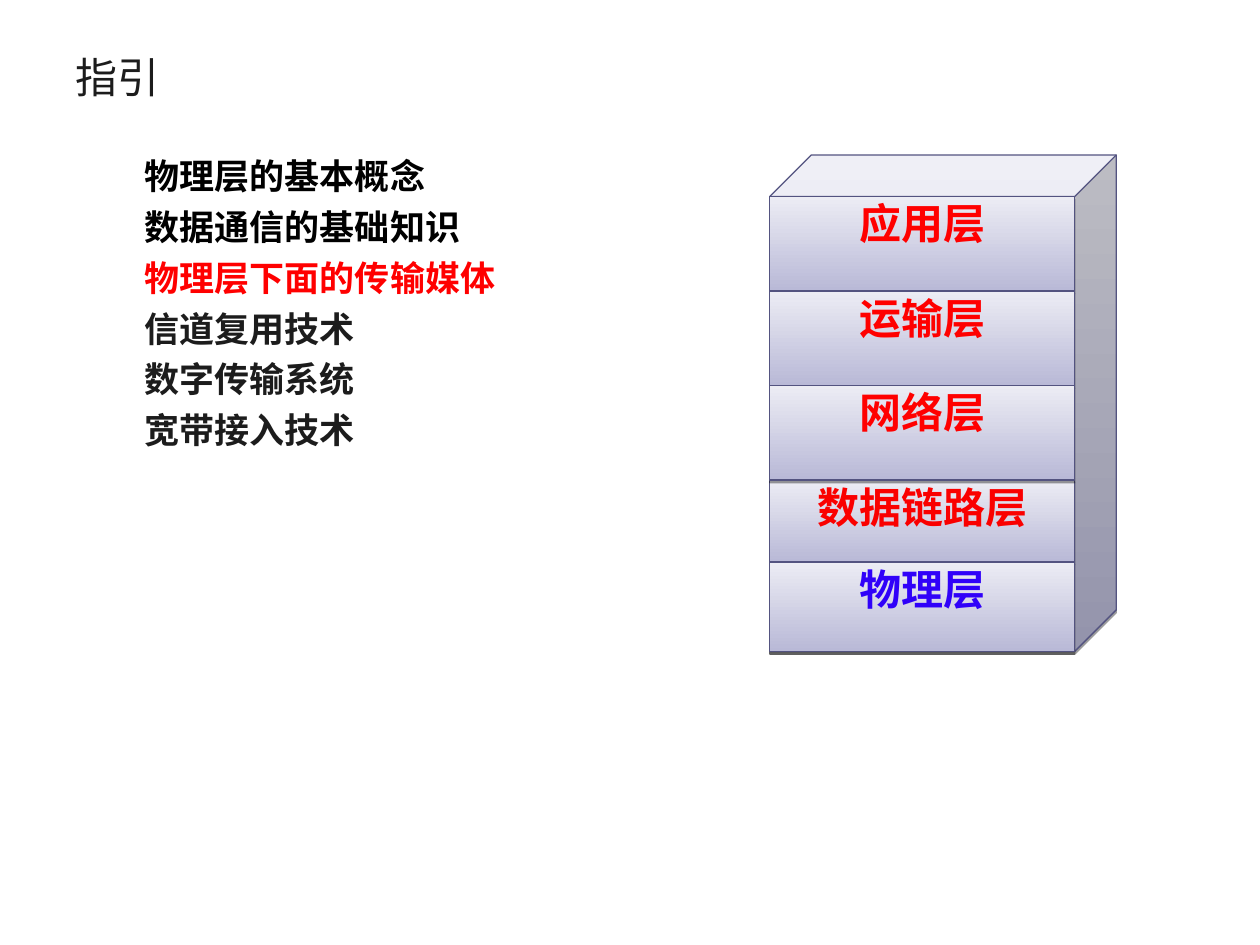
from lxml.etree import SubElement
from pptx import Presentation
from pptx.dml.color import RGBColor as RGB
from pptx.enum.shapes import MSO_CONNECTOR as CONN, MSO_SHAPE as SHAPE
from pptx.enum.text import MSO_ANCHOR as ANCHOR, PP_ALIGN as ALIGN
from pptx.oxml.ns import qn
from pptx.util import Inches, Pt

# Content
COLORS = dict(ink="1C1C1C", black="000000", red="FF0000", link_red="FA0000",
              blue="3001F9", dark="B9B9D7", light="ECECF4", edge="535380")
FONT = "Noto Sans CJK SC"
TITLE = "指引"
TOPICS = [
    ("物理层的基本概念", "black"),
    ("数据通信的基础知识", "black"),
    ("物理层下面的传输媒体", "red"),
    ("信道复用技术", "ink"),
    ("数字传输系统", "ink"),
    ("宽带接入技术", "ink"),
]
# Layers from top to bottom: text, colour, height, edges drawn again on top
LAYERS = [
    ("应用层", "red", 0.75, ("bottom", "left", "right")),
    ("运输层", "red", 0.75, ("bottom", "left", "right")),
    ("网络层", "red", 0.75, ("left", "right")),
    ("数据链路层", "link_red", 0.65, ("top", "left", "right")),
    ("物理层", "blue", 0.71, ()),
]
DRAW_ORDER = (0, 1, 3, 2, 4)  # the network layer casts its shadow on the link layer

# Grid of the layer stack
STACK_X, STACK_Y, FACE_W, DEPTH = 6.11, 1.56, 2.42, 0.33
CUBE_W = FACE_W + DEPTH
STACK_H = sum(layer[2] for layer in LAYERS)


def color(name):
    return RGB.from_string(COLORS[name])


def write(p, text, size, ink, bold=False):
    r = p.add_run()
    r.text = text
    for key, value in dict(name=FONT, size=Pt(size), bold=bold).items():
        setattr(r.font, key, value)
    r.font.color.rgb = color(ink)
    SubElement(r.font._element, qn("a:ea"), typeface=FONT)


def add_text_box(s, x, y, w, h, anchor):
    tf = s.shapes.add_textbox(*map(Inches, (x, y, w, h))).text_frame
    tf.word_wrap, tf.vertical_anchor = True, anchor
    return tf


def style_edge(line):
    line.color.rgb, line.width = color("edge"), Pt(0.75)


def add_block(group, kind, x, y, w, h):
    sp = group.shapes.add_shape(kind, *map(Inches, (x, y, w, h)))
    sp.fill.gradient()
    sp.fill.gradient_angle = 90
    for stop, name in zip(sp.fill.gradient_stops, ("dark", "light")):
        stop.color.rgb = color(name)
    style_edge(sp.line)
    # Thin shadow straight below
    effects = SubElement(sp._element.spPr, qn("a:effectLst"))
    shadow = SubElement(effects, qn("a:outerShdw"), blurRad="0", dist=str(Pt(1.6)),
                        dir="5400000", rotWithShape="0")
    tint = SubElement(shadow, qn("a:srgbClr"), val=COLORS["black"])
    SubElement(tint, qn("a:alpha"), val="38000")
    return sp


def add_edge(group, side, x, y, w, h):
    right, bottom = x + w, y + h
    ends = dict(top=(x, y, right, y), bottom=(x, bottom, right, bottom),
                left=(x, y, x, bottom), right=(right, y, right, bottom))
    edge = group.shapes.add_connector(CONN.STRAIGHT, *map(Inches, ends[side]))
    style_edge(edge.line)
    SubElement(edge._element.spPr, qn("a:effectLst"))


def add_layer(group, index):
    text, ink, h, edges = LAYERS[index]
    y = STACK_Y + sum(layer[2] for layer in LAYERS[:index])
    sp = add_block(group, SHAPE.RECTANGLE, STACK_X, y, FACE_W, h)
    tf = sp.text_frame
    tf.vertical_anchor, tf.margin_top = ANCHOR.TOP, Inches(0.01)
    tf.paragraphs[0].alignment = ALIGN.CENTER
    write(tf.paragraphs[0], text, 24, ink, True)
    for side in edges:
        add_edge(group, side, STACK_X, y, FACE_W, h)


def main():
    prs = Presentation()
    prs.slide_width, prs.slide_height = Inches(10), Inches(7.5)
    s = prs.slides.add_slide(prs.slide_layouts[6])

    # Title
    tf = add_text_box(s, 0.5, 0.3, 9, 0.61, ANCHOR.MIDDLE)
    write(tf.paragraphs[0], TITLE, 24, "ink")

    # Topic list
    tf = add_text_box(s, 0.67, 1.18, 8.5, 5.12, ANCHOR.TOP)
    for i, (text, ink) in enumerate(TOPICS):
        p = tf.add_paragraph() if i else tf.paragraphs[0]
        p.line_spacing, p.space_before = Pt(24), Pt(5 if i else 0)
        p._p.get_or_add_pPr().set("marL", str(Inches(0.38)))
        write(p, text, 20, ink, True)

    # Layer stack on a cube
    group = s.shapes.add_group_shape()
    cube = add_block(group, SHAPE.CUBE, STACK_X, STACK_Y - DEPTH, CUBE_W, STACK_H + DEPTH)
    cube.adjustments[0] = DEPTH / CUBE_W
    for index in DRAW_ORDER:
        add_layer(group, index)

    prs.save("out.pptx")


if __name__ == "__main__":
    main()
